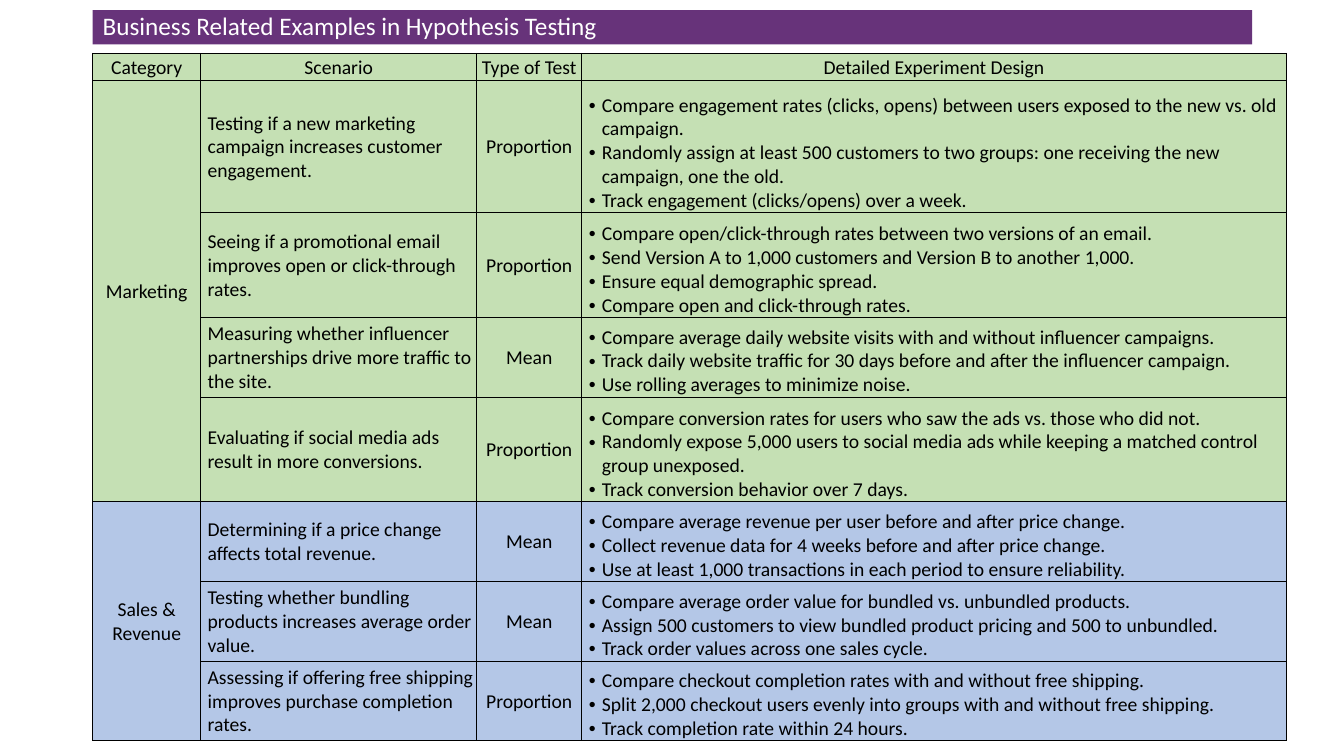
from lxml.etree import SubElement
from pptx import Presentation
from pptx.dml.color import RGBColor
from pptx.enum.shapes import MSO_SHAPE
from pptx.enum.text import MSO_ANCHOR as Anchor, PP_ALIGN as Align
from pptx.oxml.ns import qn
from pptx.util import Inches, Pt

FONT = "Calibri"
PURPLE, GREEN, BLUE = "67337A", "C5E0B4", "B4C7E7"
BLACK, WHITE = "000000", "FFFFFF"

TITLE = "Business Related Examples in Hypothesis Testing"
HEADERS = ["Category", "Scenario", "Type of Test", "Detailed Experiment Design"]
COLUMN_WIDTHS = [1.07, 2.74, 1.04, 6.99]
ROW_HEIGHTS = [0.27, 1.31, 1.04, 0.79, 1.04, 0.79, 0.79, 0.79]
CATEGORIES = [
    ("Marketing", GREEN, [
        ("Testing if a new marketing campaign increases customer engagement.", "Proportion", [
            "Compare engagement rates (clicks, opens) between users exposed to the new vs. old campaign.",
            "Randomly assign at least 500 customers to two groups: one receiving the new campaign, one the old.",
            "Track engagement (clicks/opens) over a week."]),
        ("Seeing if a promotional email improves open or click-through rates.", "Proportion", [
            "Compare open/click-through rates between two versions of an email.",
            "Send Version A to 1,000 customers and Version B to another 1,000.",
            "Ensure equal demographic spread.",
            "Compare open and click-through rates."]),
        ("Measuring whether influencer partnerships drive more traffic to the site.", "Mean", [
            "Compare average daily website visits with and without influencer campaigns.",
            "Track daily website traffic for 30 days before and after the influencer campaign.",
            "Use rolling averages to minimize noise."]),
        ("Evaluating if social media ads result in more conversions.", "Proportion", [
            "Compare conversion rates for users who saw the ads vs. those who did not.",
            "Randomly expose 5,000 users to social media ads while keeping a matched control group unexposed.",
            "Track conversion behavior over 7 days."]),
    ]),
    ("Sales & Revenue", BLUE, [
        ("Determining if a price change affects total revenue.", "Mean", [
            "Compare average revenue per user before and after price change.",
            "Collect revenue data for 4 weeks before and after price change.",
            "Use at least 1,000 transactions in each period to ensure reliability."]),
        ("Testing whether bundling products increases average order value.", "Mean", [
            "Compare average order value for bundled vs. unbundled products.",
            "Assign 500 customers to view bundled product pricing and 500 to unbundled.",
            "Track order values across one sales cycle."]),
        ("Assessing if offering free shipping improves purchase completion rates.", "Proportion", [
            "Compare checkout completion rates with and without free shipping.",
            "Split 2,000 checkout users evenly into groups with and without free shipping.",
            "Track completion rate within 24 hours."]),
    ]),
]


def color(value):
    return RGBColor.from_string(value)


def set_font(paragraph, size, value):
    font = paragraph.font
    font.name, font.size = FONT, Pt(size)
    font.color.rgb = color(value)


def indent(paragraph, left, first=0, bullet=None):
    properties = paragraph._p.get_or_add_pPr()
    properties.set("marL", str(Inches(left)))
    properties.set("indent", str(Inches(first)))
    if bullet:
        SubElement(properties, qn("a:buFont"), typeface="Arial")
        SubElement(properties, qn("a:buChar"), char=bullet)


def add_borders(cell):
    properties = cell._tc.get_or_add_tcPr()
    for side in ("a:lnL", "a:lnR", "a:lnT", "a:lnB"):
        line = SubElement(properties, qn(side), w=str(Pt(0.75)))
        SubElement(SubElement(line, qn("a:solidFill")), qn("a:srgbClr"), val=BLACK)


def style_cell(cell, fill):
    add_borders(cell)
    cell.fill.solid()
    cell.fill.fore_color.rgb = color(fill)
    cell.margin_left = cell.margin_right = cell.margin_top = Inches(0.01)
    cell.margin_bottom = 0
    cell.vertical_anchor = Anchor.MIDDLE


def write_centered(cell, text):
    cell.text = text
    paragraph = cell.text_frame.paragraphs[0]
    paragraph.alignment = Align.CENTER
    set_font(paragraph, 14, BLACK)


def write_scenario(cell, text):
    cell.text = text
    paragraph = cell.text_frame.paragraphs[0]
    indent(paragraph, 0.06)
    set_font(paragraph, 14, BLACK)


def write_design(cell, steps):
    cell.text = "\n".join(steps)
    cell.vertical_anchor = Anchor.BOTTOM
    for paragraph in cell.text_frame.paragraphs:
        indent(paragraph, 0.19, -0.13, "•")
        set_font(paragraph, 14, BLACK)


def add_title(slide):
    banner = slide.shapes.add_shape(
        MSO_SHAPE.RECTANGLE, Inches(0.92), Inches(0.1), Inches(11.5), Inches(0.34))
    banner.shadow.inherit = False
    banner.fill.solid()
    banner.fill.fore_color.rgb = color(PURPLE)
    banner.line.fill.background()
    frame = banner.text_frame
    frame.word_wrap = True
    frame.vertical_anchor = Anchor.MIDDLE
    frame.text = TITLE
    paragraph = frame.paragraphs[0]
    paragraph.alignment = Align.LEFT
    paragraph.line_spacing = 0.9
    set_font(paragraph, 18, WHITE)


def add_test_table(slide):
    table = slide.shapes.add_table(
        len(ROW_HEIGHTS), len(COLUMN_WIDTHS), Inches(0.92), Inches(0.53),
        Inches(sum(COLUMN_WIDTHS)), Inches(sum(ROW_HEIGHTS))).table
    for column, width in zip(table.columns, COLUMN_WIDTHS):
        column.width = Inches(width)
    for row, height in zip(table.rows, ROW_HEIGHTS):
        row.height = Inches(height)

    for cell, header in zip(table.rows[0].cells, HEADERS):
        style_cell(cell, GREEN)
        write_centered(cell, header)

    first = 1
    for category, fill, tests in CATEGORIES:
        for index, (scenario, test_type, steps) in enumerate(tests, first):
            cells = list(table.rows[index].cells)
            for cell in cells:
                style_cell(cell, fill)
            write_scenario(cells[1], scenario)
            write_centered(cells[2], test_type)
            write_design(cells[3], steps)
        last = first + len(tests) - 1
        table.cell(first, 0).merge(table.cell(last, 0))
        write_centered(table.cell(first, 0), category)
        first = last + 1


def main():
    presentation = Presentation()
    presentation.slide_width, presentation.slide_height = Inches(13.33), Inches(7.5)
    slide = presentation.slides.add_slide(presentation.slide_layouts[6])
    add_title(slide)
    add_test_table(slide)
    presentation.save("out.pptx")


if __name__ == "__main__":
    main()
